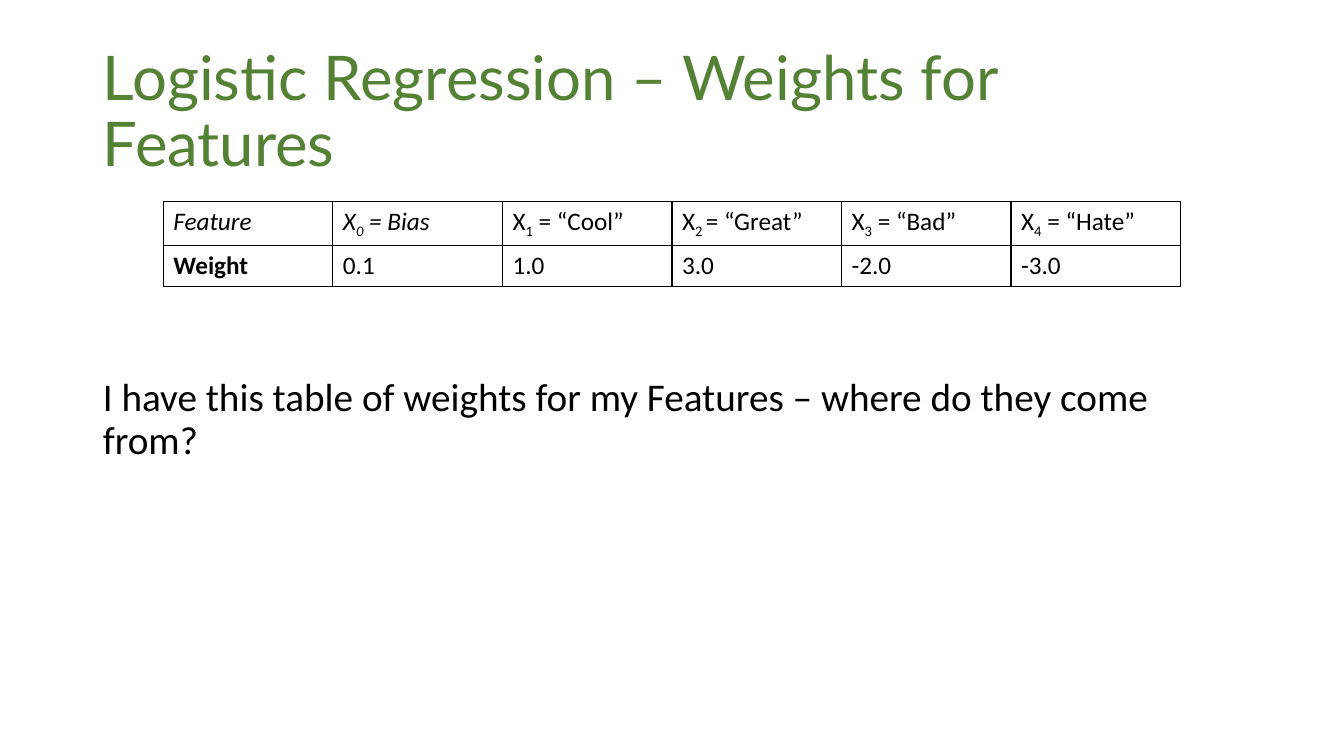
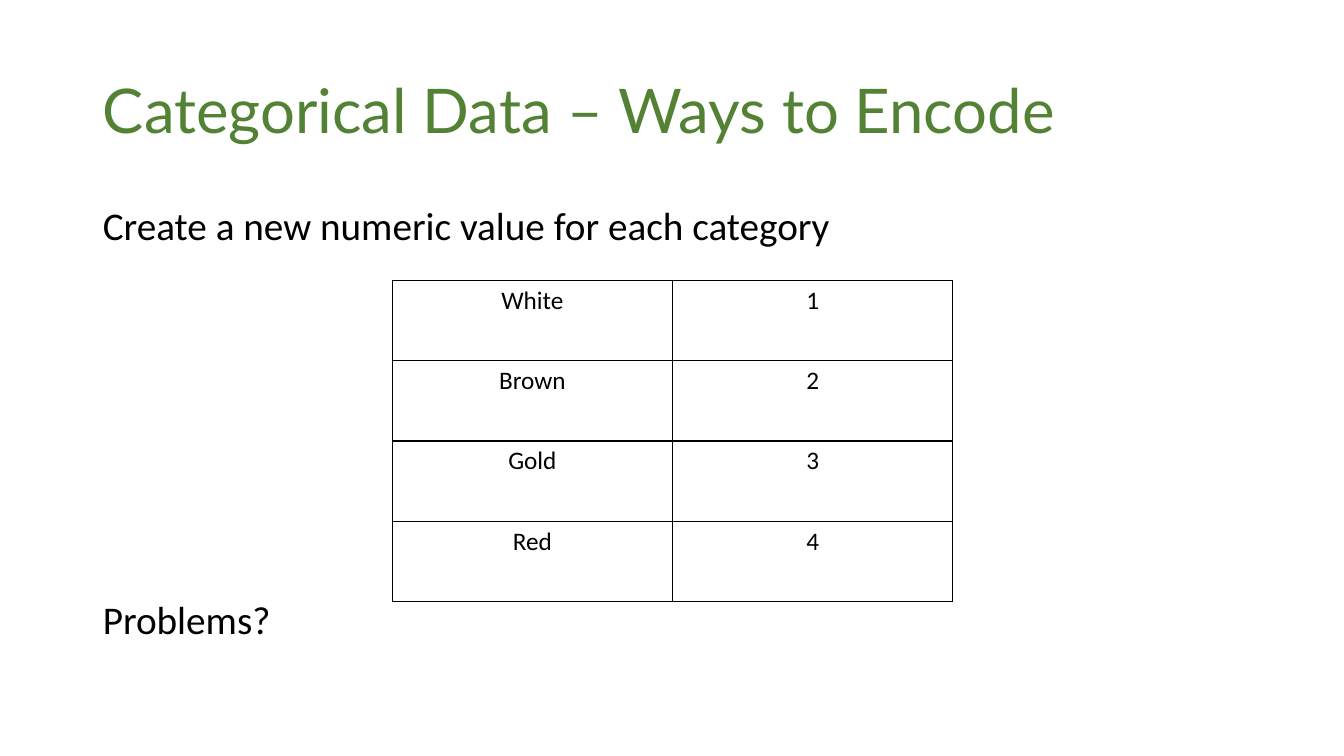
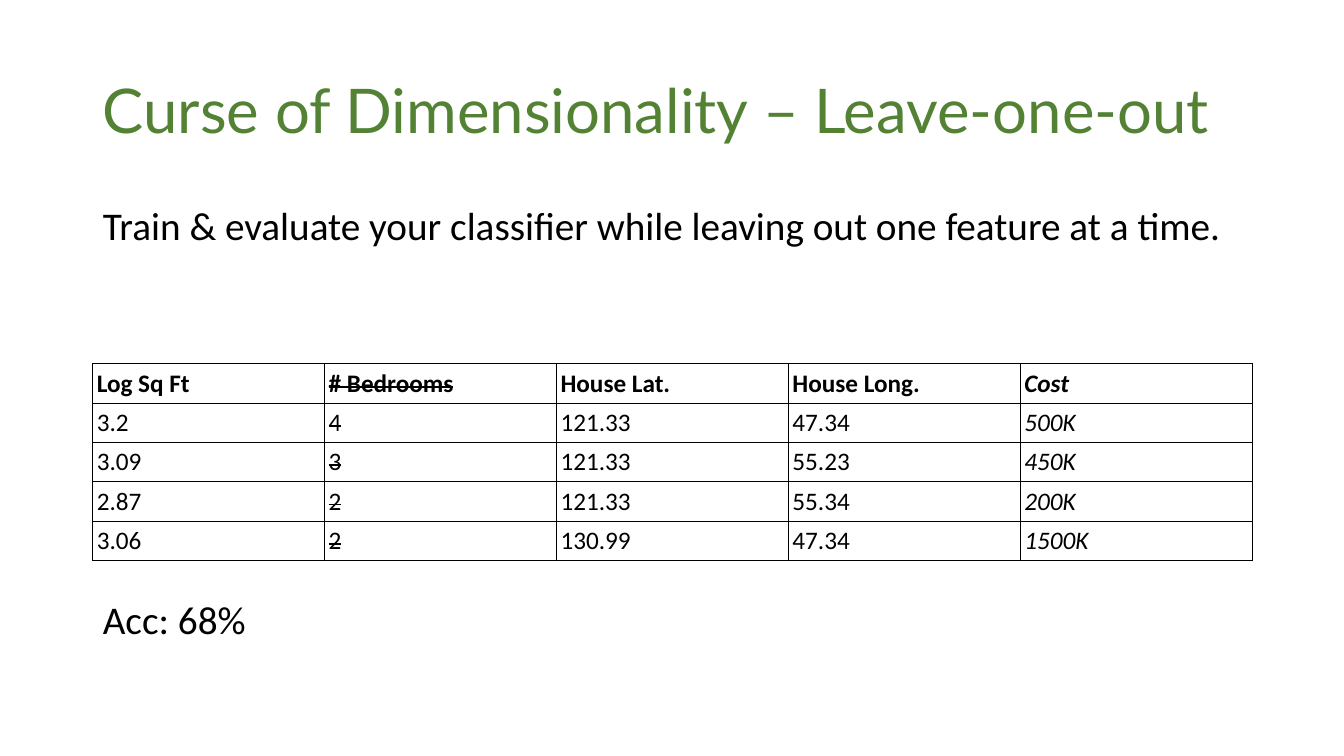
from lxml import etree
from pptx import Presentation
from pptx.dml.color import RGBColor
from pptx.enum import text as t
from pptx.oxml import ns
from pptx.util import Inches, Pt

GREEN = RGBColor(0x54, 0x82, 0x35)
BLACK = RGBColor(0x00, 0x00, 0x00)
WHITE = RGBColor(0xFF, 0xFF, 0xFF)
TITLE_FONT, BODY_FONT = "Lato", "Calibri"
LEFT, WIDTH = 0.92, 11.5
TITLE_BOX = (LEFT, 0.4, WIDTH, 1.45)
BODY_BOX = (LEFT, 2, WIDTH, 4.76)
LINE_SPACING = 0.9
CLOSING_GAP = 251


def place(placeholder, box):
    placeholder.left, placeholder.top, placeholder.width, placeholder.height = map(Inches, box)
    frame = placeholder.text_frame
    frame.word_wrap = True
    frame.auto_size = t.MSO_AUTO_SIZE.NONE
    return frame


def style_font(font, name, size, color):
    font.name, font.size, font.color.rgb = name, Pt(size), color


def style_paragraph(paragraph, font_name, size, color, gap=0):
    paragraph.alignment = t.PP_ALIGN.LEFT
    paragraph.line_spacing = LINE_SPACING
    paragraph.space_before = Pt(gap)
    for run in paragraph.runs:
        style_font(run.font, font_name, size, color)


def remove_bullet(paragraph):
    properties = paragraph._p.get_or_add_pPr()
    properties.set("marL", "0")
    properties.set("indent", "0")
    etree.SubElement(properties, ns.qn("a:buNone"))


def add_title(slide, title, box):
    frame = place(slide.shapes.title, box)
    frame.vertical_anchor = t.MSO_ANCHOR.MIDDLE
    frame.text = title
    style_paragraph(frame.paragraphs[0], TITLE_FONT, 44, GREEN)


def add_body(slide, statements, box):
    frame = place(slide.placeholders[1], box)
    frame.text = "\n".join(statements)
    for index, paragraph in enumerate(frame.paragraphs):
        remove_bullet(paragraph)
        style_paragraph(paragraph, BODY_FONT, 28, BLACK, CLOSING_GAP if index else 0)


def add_borders(cell, width):
    properties = cell._tc.get_or_add_tcPr()
    for side in ("lnL", "lnR", "lnT", "lnB"):
        line = etree.SubElement(properties, ns.qn(f"a:{side}"), w=str(Pt(width)))
        fill = etree.SubElement(line, ns.qn("a:solidFill"))
        etree.SubElement(fill, ns.qn("a:srgbClr"), val=str(BLACK))


def fill_cell(cell, content, border):
    add_borders(cell, border)
    cell.fill.solid()
    cell.fill.fore_color.rgb = WHITE
    parts = (content,) if isinstance(content, str) else content
    for index, part in enumerate(parts):
        run = cell.text_frame.paragraphs[0].add_run()
        run.text = part
        style_font(run.font, BODY_FONT, 18, BLACK)
        if index == 1:
            run._r.get_or_add_rPr().set("baseline", "-25000")


def add_grid(slide, rows, box, border=1):
    table = slide.shapes.add_table(len(rows), len(rows[0]), *map(Inches, box)).table
    table.first_row = table.horz_banding = False
    for row, contents in enumerate(rows):
        for column, content in enumerate(contents):
            fill_cell(table.cell(row, column), content, border)
    return table


def cell_runs(cell):
    return cell.text_frame.paragraphs[0].runs


def add_slide(deck, title, statements, body_box=BODY_BOX):
    slide = deck.slides.add_slide(deck.slide_layouts[1])
    add_title(slide, title, TITLE_BOX)
    add_body(slide, statements, body_box)
    return slide


def build_weights(deck):
    slide = add_slide(
        deck, "Logistic Regression – Weights for Features",
        ["I have this table of weights for my Features – where do they come from?"],
        (LEFT, 3.7, WIDTH, 3.8))
    features = ["Feature", ("X", "0", " = Bias"), ("X", "1", " = “Cool”"),
                ("X", "2 ", "= “Great”"), ("X", "3", " = “Bad”"), ("X", "4", " = “Hate”")]
    weights = ["Weight", "0.1", "1.0", "3.0", "-2.0", "-3.0"]
    table = add_grid(slide, [features, weights], (1.62, 2, 10.09, 0.81))
    for column in (0, 1):
        for run in cell_runs(table.cell(0, column)):
            run.font.italic = True
    cell_runs(table.cell(1, 0))[0].font.bold = True


def build_encoding(deck):
    slide = add_slide(deck, "Categorical Data – Ways to Encode",
                      ["Create a new numeric value for each category", "Problems?"])
    categories = ["White", "Brown", "Gold", "Red"]
    codes = [(category, str(code)) for code, category in enumerate(categories, 1)]
    table = add_grid(slide, codes, (3.89, 2.78, 5.56, 3.19))
    for cell in table.iter_cells():
        cell.text_frame.paragraphs[0].alignment = t.PP_ALIGN.CENTER


def build_leave_one_out(deck):
    slide = add_slide(
        deck, "Curse of Dimensionality – Leave-one-out",
        ["Train & evaluate your classifier while leaving out one feature at a time.", "Acc: 68%"])
    houses = [
        ("Log Sq Ft", "# Bedrooms", "House Lat.", "House Long.", "Cost"),
        ("3.2", "4", "121.33", "47.34", "500K"),
        ("3.09", "3", "121.33", "55.23", "450K"),
        ("2.87", "2", "121.33", "55.34", "200K"),
        ("3.06", "2", "130.99", "47.34", "1500K"),
    ]
    left_out, target = houses[0].index("# Bedrooms"), houses[0].index("Cost")
    table = add_grid(slide, houses, (LEFT, 3.61, WIDTH, 1.95), 0.75)
    for index, cell in enumerate(table.iter_cells()):
        row, column = divmod(index, len(houses[0]))
        cell.vertical_anchor = t.MSO_ANCHOR.MIDDLE
        cell.margin_left = cell.margin_right = Inches(0.04)
        cell.margin_top = cell.margin_bottom = Inches(0.04)
        run = cell_runs(cell)[0]
        run.font.bold = row == 0
        run.font.italic = column == target
        if column == left_out:
            run._r.get_or_add_rPr().set("strike", "sngStrike")


def main():
    deck = Presentation()
    deck.slide_width, deck.slide_height = Inches(13.33), Inches(7.5)
    for build in (build_weights, build_encoding, build_leave_one_out):
        build(deck)
    deck.save("out.pptx")


if __name__ == "__main__":
    main()
